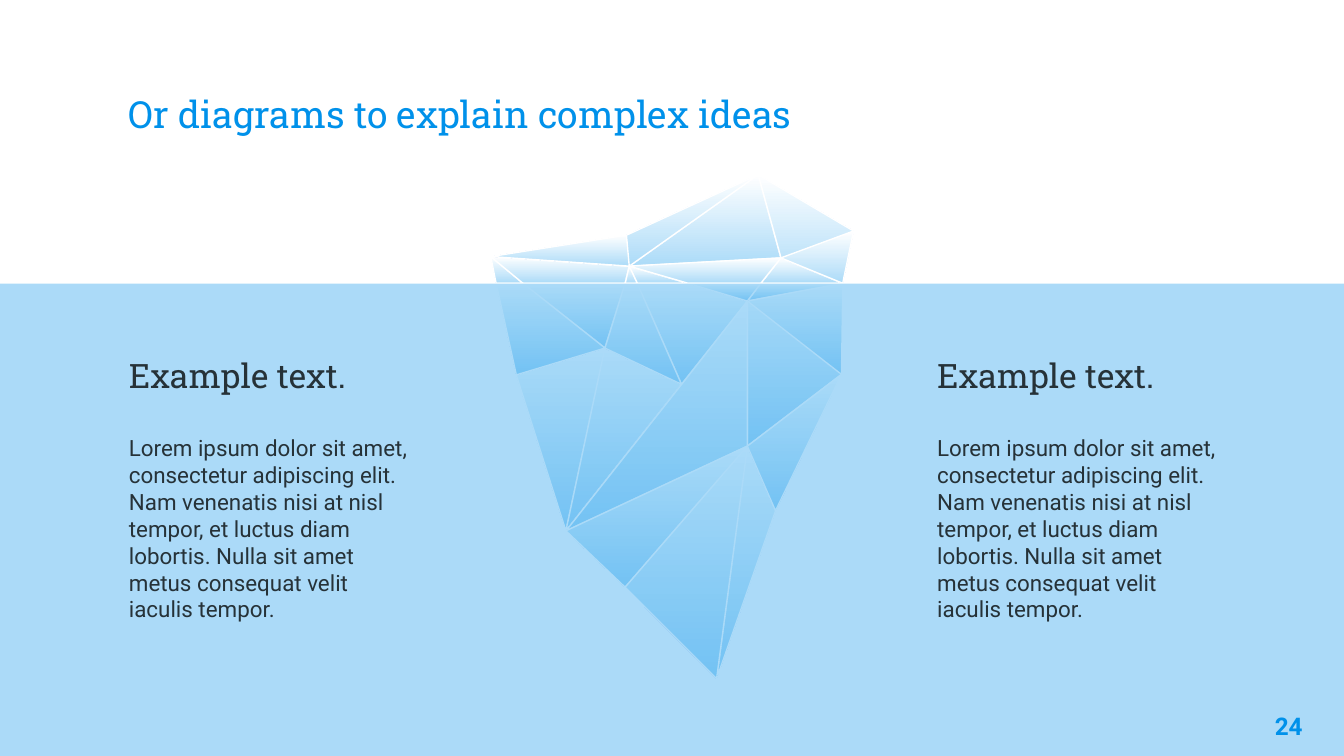
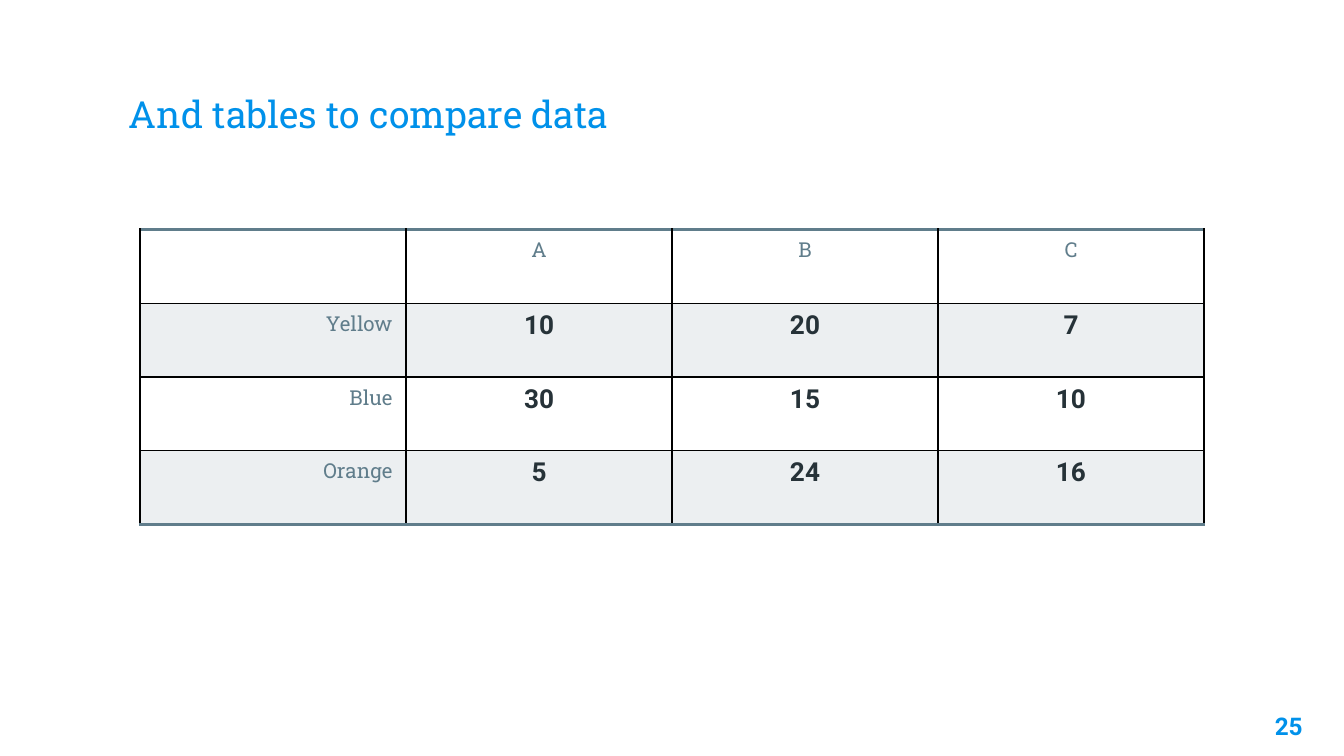
from collections import namedtuple

from lxml.etree import SubElement
from pptx import Presentation
from pptx.dml.color import RGBColor
from pptx.enum.shapes import MSO_SHAPE
from pptx.enum.text import MSO_ANCHOR, PP_ALIGN
from pptx.oxml.ns import qn
from pptx.util import Pt

WHITE = RGBColor(0xFF, 0xFF, 0xFF)
BLACK = RGBColor(0x00, 0x00, 0x00)
BLUE = RGBColor(0x00, 0x91, 0xEA)
ICE = RGBColor(0xAC, 0xDB, 0xF8)
INK = RGBColor(0x26, 0x32, 0x38)
SLATE = RGBColor(0x60, 0x7D, 0x8B)
STRIPE = RGBColor(0xEC, 0xEF, 0xF1)
SERIF, SANS = "Roboto Slab", "Roboto"

Box = namedtuple("Box", "left top width height")
SLIDE_SIZE = (720, 405)
TITLE_BOX = Box(62, 24.5, 596, 55.5)
NUMBER_BOX = Box(661.7, 374, 43.2, 31)
SEA_BOX = Box(0, 152, 720, 253)
ICEBERG_BOX = Box(262.9, 93.6, 194.4, 270)
COLUMN_BOXES = [Box(left, 186.5, 165.6, 190.8) for left in (62, 495)]
TABLE_BOX = Box(75, 123, 570, 158)

WATERLINE = 58.2
VERTICES = {
    "peak": (143.3, 0), "west": (0, 43.9), "shoulder": (72.7, 32.4),
    "notch": (74.2, 49), "saddle": (155.5, 44.6), "east": (194.4, 30.2),
    "water1": (2.9, WATERLINE), "water2": (17.3, WATERLINE),
    "water3": (72, WATERLINE), "water4": (78.5, WATERLINE),
    "water5": (105.8, WATERLINE), "water6": (144.7, WATERLINE),
    "water7": (188.6, WATERLINE),
    "left": (13.7, 107.3), "hollow": (61.2, 92.9), "middle": (102.2, 112.3),
    "crest": (137.5, 67.7), "right": (187.9, 107), "core": (137.5, 145.4),
    "flank": (152.6, 180), "corner": (40.3, 190.8), "ledge": (72, 221),
    "tip": (121, 270),
}
FACETS = [
    "water7 west water2",
    "peak notch saddle",
    "peak east water7 saddle",
    "west water2 water1",
    "notch water3 water2 west",
    "peak notch west shoulder",
    "saddle water7 water6",
    "water4 notch water5",
    "shoulder notch west",
    "east saddle water7",
    "water4 notch water3",
    "water7 right core crest",
    "hollow corner left",
    "water3 hollow water2",
    "core flank tip",
    "water7 crest water6",
    "middle water4 water5 crest",
    "middle hollow corner",
    "crest corner core",
    "water2 hollow left water1",
    "water7 crest right",
    "hollow middle water4 water3",
    "corner core ledge",
    "ledge tip core",
    "right flank core",
    "notch saddle water6 water5",
    "crest water6 water5",
]

HEADING = "Example text."
BODY = (
    "Lorem ipsum dolor sit amet, consectetur adipiscing elit. "
    "Nam venenatis nisi at nisl tempor, et luctus diam lobortis. "
    "Nulla sit amet metus consequat velit iaculis tempor."
)
TABLE_ROWS = [
    ["", "A", "B", "C"],
    ["Yellow", "10", "20", "7"],
    ["Blue", "30", "15", "10"],
    ["Orange", "5", "24", "16"],
]


def in_points(box):
    """Return the four lengths of a box as Pt values."""
    return [Pt(length) for length in box]


def write(paragraph, text, font, size, color, bold=False, align=PP_ALIGN.LEFT):
    """Fill a paragraph with text in one style."""
    paragraph.text = text
    paragraph.alignment = align
    for run in paragraph.runs:
        run.font.name = font
        run.font.size = Pt(size)
        run.font.bold = bold
        run.font.color.rgb = color


def add_text_frame(slide, box, vertical_margin, anchor=MSO_ANCHOR.TOP):
    """Add a wrapping text box and return its text frame."""
    text_frame = slide.shapes.add_textbox(*in_points(box)).text_frame
    text_frame.word_wrap = True
    text_frame.vertical_anchor = anchor
    text_frame.margin_left = text_frame.margin_right = Pt(7.2)
    text_frame.margin_top = text_frame.margin_bottom = Pt(vertical_margin)
    return text_frame


def add_title(slide, box, text):
    """Add the slide title at the bottom of its box."""
    text_frame = add_text_frame(slide, box, 7.2, MSO_ANCHOR.BOTTOM)
    write(text_frame.paragraphs[0], text, SERIF, 20, BLUE)


def add_slide_number(slide, box, number):
    """Add the bold slide number."""
    text_frame = add_text_frame(slide, box, 7.2)
    write(text_frame.paragraphs[0], str(number), SANS, 13, BLUE, True, PP_ALIGN.RIGHT)


def add_iceberg(slide, box):
    """Draw the iceberg as a group of gradient facets."""
    group = slide.shapes.add_group_shape()
    for facet in FACETS:
        points = [
            (Pt(box.left + x), Pt(box.top + y))
            for x, y in (VERTICES[name] for name in facet.split())
        ]
        builder = group.shapes.build_freeform(*points[0])
        builder.add_line_segments(points[1:], close=True)
        shape = builder.convert_to_shape()
        shape.shadow.inherit = False
        shape.fill.gradient()
        shape.fill.gradient_angle = 270
        for stop, color, position in zip(shape.fill.gradient_stops, (WHITE, ICE), (0, 1)):
            stop.color.rgb = color
            stop.position = position
        shape.line.color.rgb = WHITE
        shape.line.width = Pt(0.75)


def add_sea(slide, box):
    """Add the translucent water in front of the iceberg."""
    shape = slide.shapes.add_shape(MSO_SHAPE.RECTANGLE, *in_points(box))
    shape.shadow.inherit = False
    shape.line.fill.background()
    shape.fill.solid()
    shape.fill.fore_color.rgb = BLUE
    color = shape.fill._xPr.find(qn("a:solidFill"))[0]
    SubElement(color, qn("a:alpha"), val="33000")


def add_column(slide, box):
    """Add a heading with body text below it."""
    text_frame = add_text_frame(slide, box, 3.6)
    heading = text_frame.paragraphs[0]
    write(heading, HEADING, SERIF, 18, INK)
    heading.space_after = Pt(21)
    write(text_frame.add_paragraph(), BODY, SANS, 12, INK)


def set_border(cell, side, color, width):
    """Draw one side of a cell border."""
    properties = cell._tc.get_or_add_tcPr()
    line = SubElement(properties, qn(f"a:ln{side}"), w=str(Pt(width)))
    fill = SubElement(line, qn("a:solidFill"))
    SubElement(fill, qn("a:srgbClr"), val=str(color))


def format_cell(cell, text, row, column):
    """Set the text, borders and fill of a cell by its place."""
    paragraph = cell.text_frame.paragraphs[0]
    if row and column:
        write(paragraph, text, SANS, 14, INK, True, PP_ALIGN.CENTER)
    else:
        align = PP_ALIGN.CENTER if column else PP_ALIGN.RIGHT
        write(paragraph, text, SERIF, 11, SLATE, False, align)
    outer_side = {0: "T", len(TABLE_ROWS) - 1: "B"}.get(row)
    for side in "LRTB":
        color, width = (SLATE, 1.47) if side == outer_side else (BLACK, 0.75)
        set_border(cell, side, color, width)
    if row % 2:
        cell.fill.solid()
        cell.fill.fore_color.rgb = STRIPE
    else:
        cell.fill.background()


def add_comparison_table(slide, box):
    """Add the table with equal rows and columns."""
    row_count, column_count = len(TABLE_ROWS), len(TABLE_ROWS[0])
    table = slide.shapes.add_table(row_count, column_count, *in_points(box)).table
    table.first_row = table.horz_banding = False
    for column in table.columns:
        column.width = Pt(box.width / column_count)
    for row in table.rows:
        row.height = Pt(box.height / row_count)
    for row, texts in enumerate(TABLE_ROWS):
        for column, text in enumerate(texts):
            format_cell(table.cell(row, column), text, row, column)


def add_blank_slide(presentation):
    """Add a slide with the blank layout."""
    return presentation.slides.add_slide(presentation.slide_layouts[6])


def build_diagram_slide(presentation):
    """Build the iceberg diagram slide."""
    slide = add_blank_slide(presentation)
    add_iceberg(slide, ICEBERG_BOX)
    add_title(slide, TITLE_BOX, "Or diagrams to explain complex ideas")
    add_sea(slide, SEA_BOX)
    for box in COLUMN_BOXES:
        add_column(slide, box)
    add_slide_number(slide, NUMBER_BOX, 24)


def build_table_slide(presentation):
    """Build the comparison table slide."""
    slide = add_blank_slide(presentation)
    add_title(slide, TITLE_BOX, "And tables to compare data")
    add_comparison_table(slide, TABLE_BOX)
    add_slide_number(slide, NUMBER_BOX, 25)


def main():
    """Build and save the presentation."""
    presentation = Presentation()
    presentation.slide_width, presentation.slide_height = map(Pt, SLIDE_SIZE)
    build_diagram_slide(presentation)
    build_table_slide(presentation)
    presentation.save("out.pptx")


if __name__ == "__main__":
    main()
